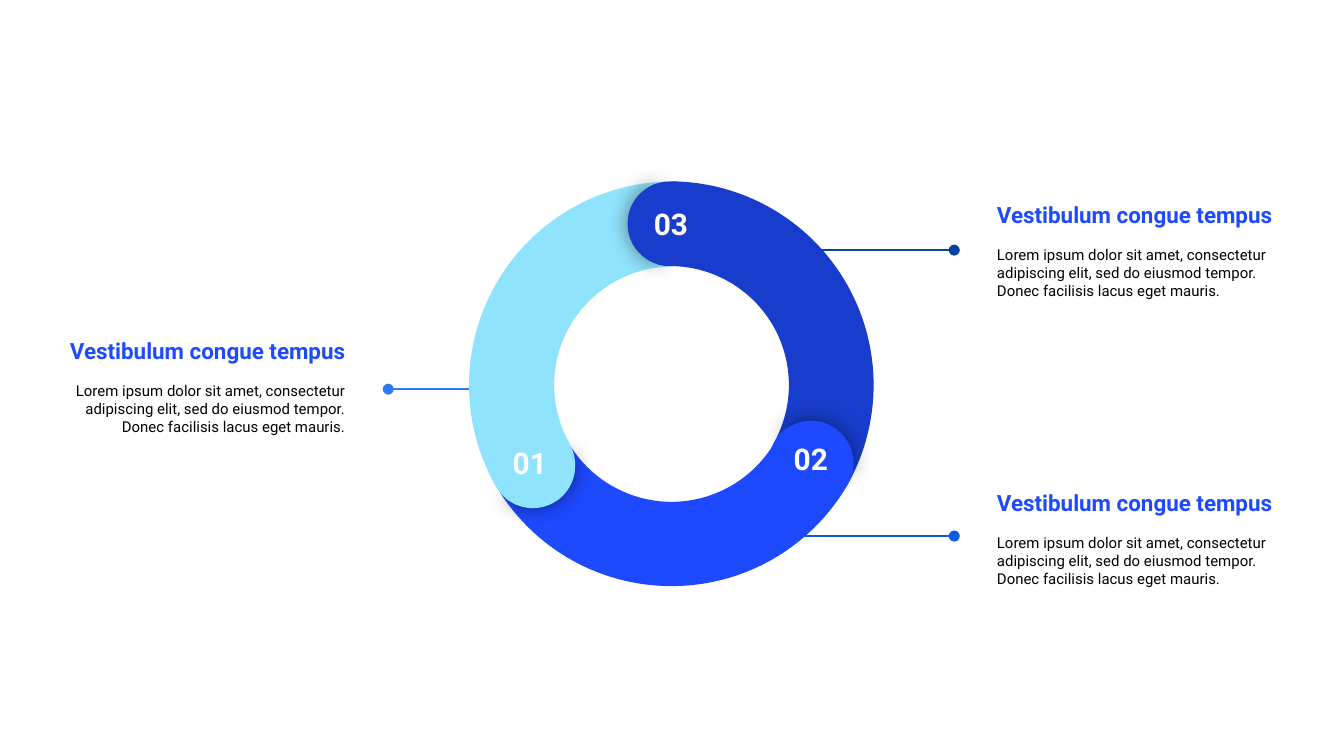
import lxml.etree
import pptx
import pptx.dml.color
import pptx.enum.shapes
import pptx.enum.text
import pptx.oxml
import pptx.oxml.ns
import pptx.util

Pt = pptx.util.Pt
SHAPES = pptx.enum.shapes.MSO_SHAPE
ALIGN = pptx.enum.text.PP_ALIGN
ANCHOR = pptx.enum.text.MSO_ANCHOR
qn = pptx.oxml.ns.qn

HEADING = "Vestibulum congue tempus"
BODY = ("Lorem ipsum dolor sit amet, consectetur adipiscing elit, "
        "sed do eiusmod tempor. Donec facilisis lacus eget mauris.")
RING_SIZE, CAP_SIZE = 218.2, 45.4


def color(hex_string):
    return pptx.dml.color.RGBColor.from_string(hex_string)


def add_text(left, top, width, height, anchor, align, lines):
    """Add a text box; each line is (text, size, bold, colour, space after)."""
    box = slide.shapes.add_textbox(Pt(left), Pt(top), Pt(width), Pt(height))
    frame = box.text_frame
    frame.word_wrap = True
    frame.vertical_anchor = anchor
    frame.margin_left = frame.margin_right = Pt(7.2)
    frame.margin_top = frame.margin_bottom = Pt(7.2)
    for index, (text, size, bold, hex_string, space_after) in enumerate(lines):
        paragraph = frame.add_paragraph() if index else frame.paragraphs[0]
        paragraph.alignment = align
        paragraph.space_after = Pt(space_after)
        run = paragraph.add_run()
        run.text = text
        run.font.name = "Roboto"
        run.font.size = Pt(size)
        run.font.bold = bold
        run.font.color.rgb = color(hex_string)


presentation = pptx.Presentation()
presentation.slide_width, presentation.slide_height = Pt(720), Pt(405)
slide = presentation.slides.add_slide(presentation.slide_layouts[6])

# Captions with their leader lines: box left, top, align, line start, end, y, colour
captions = [
    (25.2, 156.2, ALIGN.RIGHT, 257.8, 208, 208.5, "307AF3"),
    (527, 83.5, ALIGN.LEFT, 410.4, 511.2, 134, "0942A1"),
    (527, 237.6, ALIGN.LEFT, 410.4, 511.2, 287.2, "0D5CDF"),
]
for left, top, align, start, end, y, line_color in captions:
    add_text(left, top, 167, 101.5, ANCHOR.MIDDLE, align, [
        (HEADING, 12, True, "1D4AFF", 9.4),
        (BODY, 8, False, "000000", 16),
    ])
    leader = slide.shapes.add_connector(
        pptx.enum.shapes.MSO_CONNECTOR.STRAIGHT, Pt(start), Pt(y), Pt(end), Pt(y))
    leader.line.color.rgb = color(line_color)
    leader.line.width = Pt(0.75)
    line_xml = leader.line._get_or_add_ln()
    lxml.etree.SubElement(line_xml, qn("a:tailEnd"), type="oval")
    lxml.etree.SubElement(leader._element.spPr, qn("a:effectLst"))

# Ring segments: number, colour, rotation, arc, cap and number positions, arc end, thickness
segments = [
    ("03 ", "183DCC", 60, (249.8, 97.2), (336.2, 97.2), (341.3, 103), 329.69, 0.208),
    ("02 ", "1D4AFF", 180, (250.6, 95.8), (411.8, 225.4), (416.2, 229), 327.71, 0.207),
    ("01 ", "90E3FC", 300, (251.3, 97.2), (262.8, 226.8), (265.7, 231.1), 328.39, 0.209),
]

# Each piece: preset, position, size, rotation, angles in degrees, thickness, shadow
arcs, caps = [], []
for number, fill, turn, arc, cap, label, arc_end, thickness in segments:
    arcs.append((SHAPES.BLOCK_ARC, arc, RING_SIZE, turn, (210.38, arc_end),
                 [thickness], False, fill))
    caps.append((SHAPES.PIE, cap, CAP_SIZE, (turn + 300.65) % 360, (103.17, 249.94),
                 [], True, fill))
    caps.append((SHAPES.PIE, cap, CAP_SIZE, (turn + 120) % 360, (67.14, 286.4),
                 [], False, fill))

for preset, (left, top), size, turn, angles, extra, shadowed, fill in arcs + caps:
    piece = slide.shapes.add_shape(preset, Pt(left), Pt(top), Pt(size), Pt(size))
    piece.rotation = turn
    # Angles are stored in 60000ths of a degree, adjustments in 100000ths
    for index, value in enumerate([angle * 0.6 for angle in angles] + extra):
        piece.adjustments[index] = value
    piece.fill.solid()
    piece.fill.fore_color.rgb = color(fill)
    piece.line.fill.background()
    piece.shadow.inherit = False
    if shadowed:
        effects = piece._element.spPr.find(qn("a:effectLst"))
        shadow = lxml.etree.SubElement(effects, qn("a:outerShdw"),
                                       blurRad=str(Pt(11.2)), dist="0", dir="0",
                                       algn="ctr", rotWithShape="0")
        black = lxml.etree.SubElement(shadow, qn("a:srgbClr"), val="000000")
        lxml.etree.SubElement(black, qn("a:alpha"), val="43000")

# Segment numbers
for number, fill, turn, arc, cap, label, arc_end, thickness in segments:
    add_text(*label, 40.3, 20.9, ANCHOR.TOP, ALIGN.CENTER,
             [(number, 16, True, "FFFFFF", 0)])

presentation.save("out.pptx")
